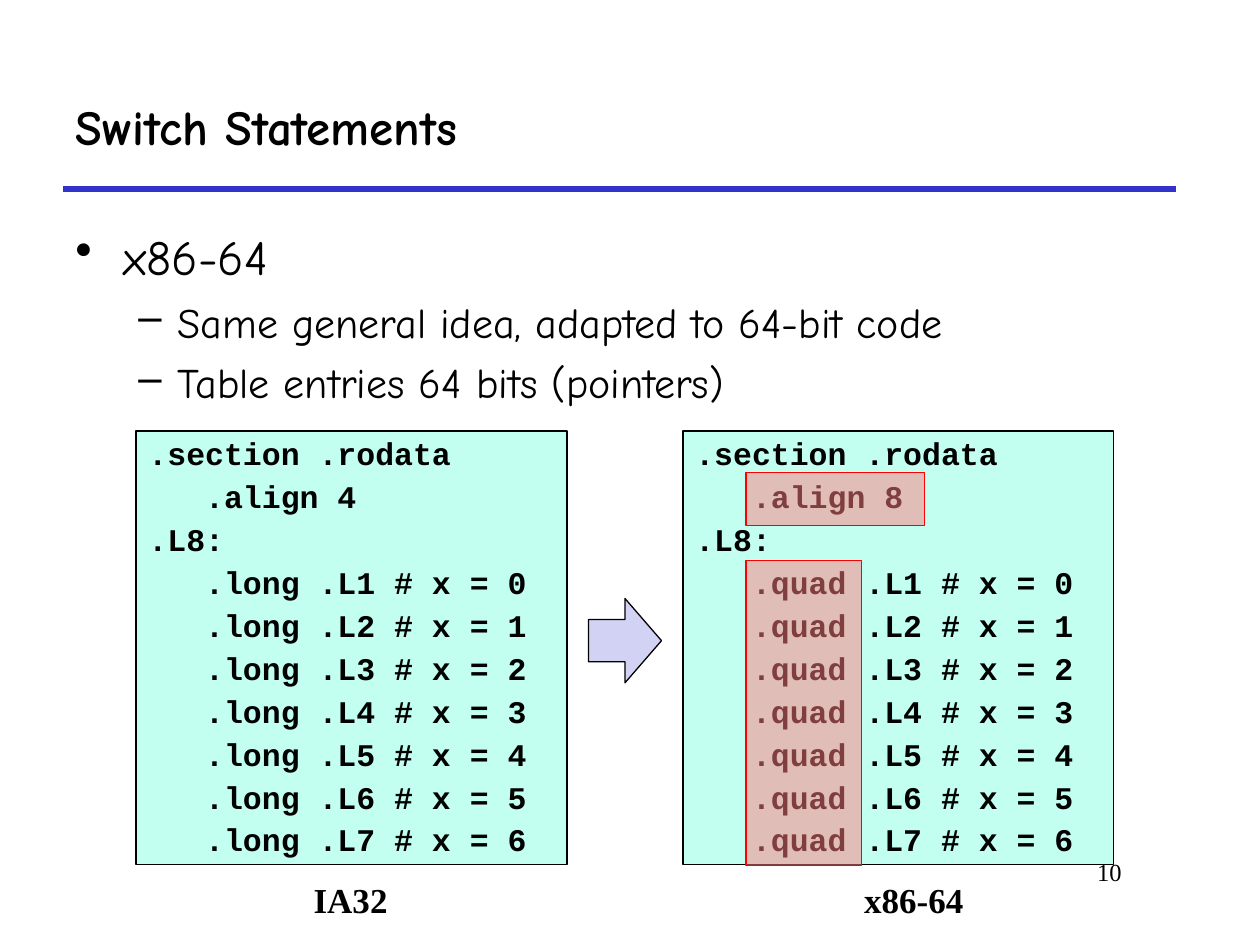
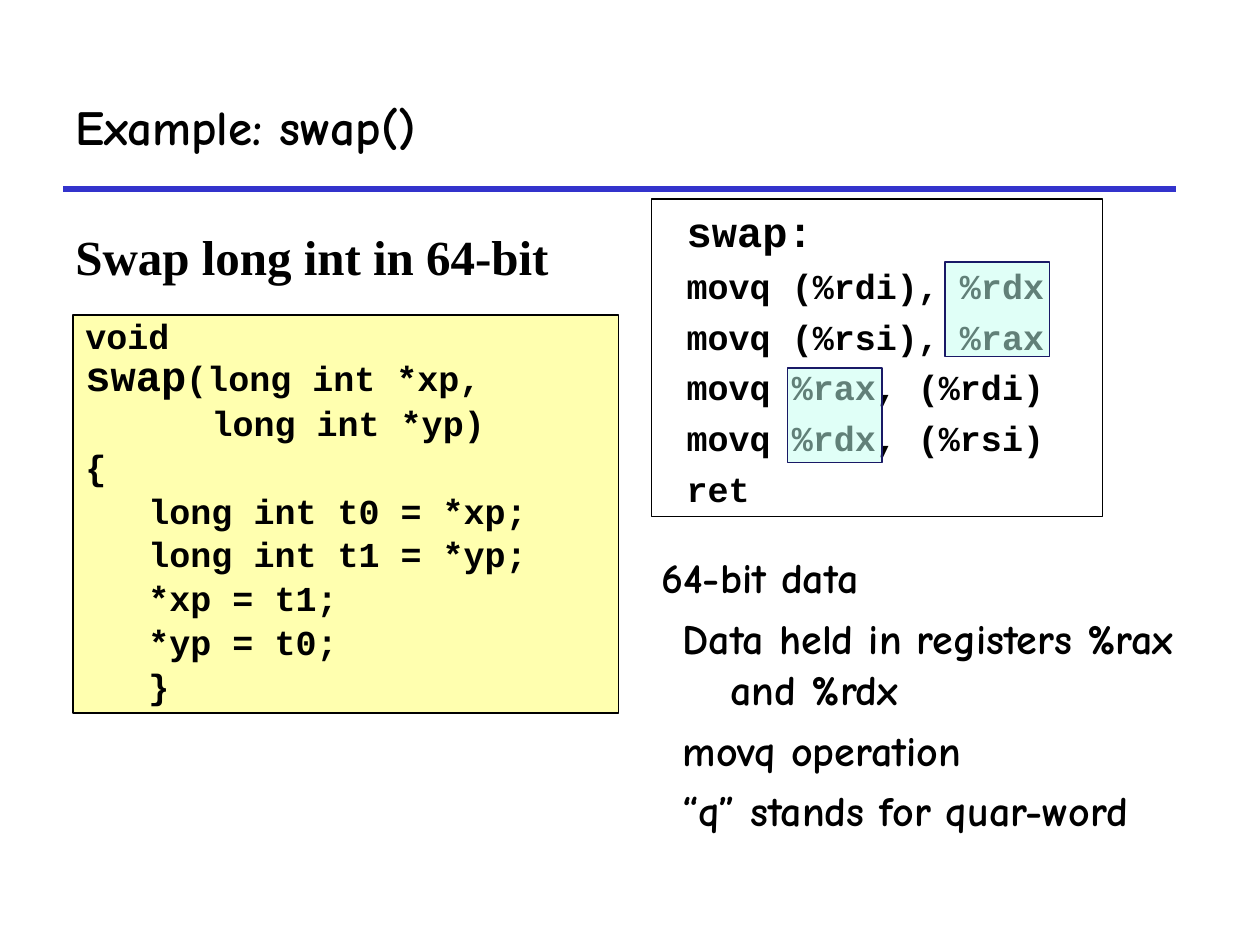
from dataclasses import dataclass
from pptx import Presentation
from pptx.dml.color import RGBColor
from pptx.enum.shapes import MSO_CONNECTOR, MSO_SHAPE
from pptx.enum.text import MSO_ANCHOR, PP_ALIGN
from pptx.oxml.xmlchemy import OxmlElement
from pptx.util import Inches, Pt

RECT = MSO_SHAPE.RECTANGLE
ARROW = MSO_SHAPE.RIGHT_ARROW
STRAIGHT = MSO_CONNECTOR.STRAIGHT
TOP, MIDDLE = MSO_ANCHOR.TOP, MSO_ANCHOR.MIDDLE
LEFT, RIGHT = PP_ALIGN.LEFT, PP_ALIGN.RIGHT

COMIC, MONO, SERIF = "Comic Neue", "Courier New", "Times New Roman"
COLORS = {
    "ink": "000000",
    "rule": "3333CC",
    "mint": "C2FFF0",
    "lilac": "D2D2F4",
    "yellow": "FFFFAF",
    "white": "FFFFFF",
    "rose": "FF7C80",
    "red": "FF0000",
    "navy": "191966",
}


@dataclass(frozen=True)
class Box:
    left: float
    top: float
    width: float
    height: float


@dataclass(frozen=True)
class Row:
    text: str
    size: float = 0
    left: float = 0
    hang: float = 0
    mark: str = ""
    lead: str = ""


@dataclass(frozen=True)
class Panel:
    box: Box
    fill: str
    rows: list[Row]
    size: float
    gap: float
    pitch: float = 0
    inset: float = 0.1


@dataclass(frozen=True)
class Glass:
    box: Box
    fill: str
    edge: str


LEAD_SIZE = 24


def color(name: str) -> RGBColor:
    return RGBColor.from_string(COLORS[name])


def place(box: Box) -> tuple:
    return tuple(Inches(n) for n in (box.left, box.top, box.width, box.height))


def write(frame, rows: list[Row], *, font: str = COMIC, size: float = 24, bold: bool = True,
          gap: float = 0, pitch: float = 0, inset: float = 0.1, align=LEFT,
          anchor=TOP, wrap: bool = True) -> None:
    frame.word_wrap = wrap
    frame.vertical_anchor = anchor
    frame.margin_left, frame.margin_right = Inches(inset), Inches(0.1)
    frame.margin_top = frame.margin_bottom = Inches(0.05)
    for i, row in enumerate(rows):
        para = frame.add_paragraph() if i else frame.paragraphs[0]
        props = para._p.get_or_add_pPr()
        props.set("marL", str(Inches(row.left)))
        props.set("indent", str(Inches(-row.hang)))
        if row.mark:
            mark = OxmlElement("a:buChar")
            mark.set("char", row.mark)
            props.append(mark)
        para.alignment = align
        if i:
            para.space_before = Pt(gap)
        if pitch:
            para.line_spacing = Pt(pitch)
        for words, points in ((row.lead, LEAD_SIZE), (row.text, row.size or size)):
            if words:
                run = para.add_run()
                run.text = words
                run.font.name, run.font.size, run.font.bold = font, Pt(points), bold
                run.font.color.rgb = color("ink")


def label(slide, box: Box, rows: list[Row], **style) -> None:
    write(slide.shapes.add_textbox(*place(box)).text_frame, rows, **style)


def block(slide, kind, box: Box, fill: str, edge: str = "ink"):
    shape = slide.shapes.add_shape(kind, *place(box))
    shape.shadow.inherit = False
    shape.fill.solid()
    shape.fill.fore_color.rgb = color(fill)
    shape.line.color.rgb = color(edge)
    shape.line.width = Pt(0.75)
    return shape


def panel(slide, item: Panel) -> None:
    shape = block(slide, RECT, item.box, item.fill)
    write(shape.text_frame, item.rows, font=MONO, size=item.size,
          gap=item.gap, pitch=item.pitch, inset=item.inset)


def glass(slide, item: Glass) -> None:
    shape = block(slide, RECT, item.box, item.fill, item.edge)
    alpha = OxmlElement("a:alpha")
    alpha.set("val", "50000")
    shape._element.spPr.solidFill.find(".//{*}srgbClr").append(alpha)


def start(deck, title: str):
    slide = deck.slides.add_slide(deck.slide_layouts[6])
    rule = slide.shapes.add_connector(STRAIGHT, Inches(0.5), Inches(1.5), Inches(9.33), Inches(1.5))
    rule.line.color.rgb = color("rule")
    rule.line.width = Pt(3)
    rule._element.spPr.append(OxmlElement("a:effectLst"))
    label(slide, Box(0.5, 0.5, 8.83, 1), [Row(title)], size=28, anchor=MIDDLE)
    return slide


def table(align: int, word: str) -> list[Row]:
    head = [".section .rodata", f"   .align {align}", ".L8:"]
    jumps = [f"   .{word} .L{n + 1} # x = {n}" for n in range(7)]
    return [Row(line) for line in head + jumps]


def switch(deck) -> None:
    slide = start(deck, "Switch Statements")
    label(slide, Box(7.58, 6.75, 1.42, 0.5), [Row("10")],
          font=SERIF, size=14, bold=False, align=RIGHT)
    label(slide, Box(0.5, 1.75, 9.5, 5.42), [
        Row("x86-64", 28, 0.38, 0.38, "•"),
        Row("Same general idea, adapted to 64-bit code", 24, 0.81, 0.31, "–"),
        Row("Table entries 64 bits (pointers)", 24, 0.81, 0.31, "–"),
    ], bold=False, gap=6)
    for left, rows in ((1.08, table(4, "long")), (5.42, table(8, "quad"))):
        panel(slide, Panel(Box(left, 3.42, 3.42, 3.44), "mint", rows, 18, 4.5, 20))
    block(slide, ARROW, Box(4.67, 4.75, 0.58, 0.67), "lilac")
    for name, left, width in (("x86-64", 6.76, 0.99), ("IA32", 2.39, 0.79)):
        label(slide, Box(left, 6.92, width, 0.44), [Row(name)], font=SERIF, size=20, wrap=False)
    for box in (Box(5.92, 4.45, 0.92, 2.42), Box(5.92, 3.75, 1.42, 0.42)):
        glass(slide, Glass(box, "rose", "red"))


def swap(deck) -> None:
    slide = start(deck, "Example: swap()")
    label(slide, Box(0.5, 1.75, 9.5, 1.08), [Row("Swap long int in 64-bit", 28, 0.38, 0.38)],
          font=SERIF)
    steps = ("long int t0 = *xp;", "long int t1 = *yp;", "*xp = t1;", "*yp = t0;", "}")
    source = [
        Row("void"),
        Row("(long int *xp,", lead="swap"),
        Row("      long int *yp)"),
        Row("{"),
        *(Row(step, left=0.5) for step in steps),
    ]
    moves = ("(%rdi), %rdx", "(%rsi), %rax", "%rax, (%rdi)", "%rdx, (%rsi)")
    output = [Row("swap:", LEAD_SIZE), *(Row(f"movq {move}") for move in moves), Row("ret")]
    panel(slide, Panel(Box(0.58, 2.5, 4.33, 3.16), "yellow", source, 20, 5, 20))
    panel(slide, Panel(Box(5.17, 1.58, 3.58, 2.52), "white", output, 20, 5, inset=0.28))
    facts = ("Data held in registers %rax and %rdx", "movq operation", "“q” stands for quar-word")
    label(slide, Box(4.92, 4.33, 5, 2.75),
          [Row("64-bit data", left=0.23), *(Row(fact, left=0.78, hang=0.38) for fact in facts)],
          gap=6)
    for box in (Box(7.5, 2.08, 0.83, 0.75), Box(6.25, 2.92, 0.75, 0.75)):
        glass(slide, Glass(box, "mint", "navy"))


def main() -> None:
    deck = Presentation()
    deck.slide_width, deck.slide_height = Inches(10), Inches(7.5)
    switch(deck)
    swap(deck)
    deck.save("out.pptx")


if __name__ == "__main__":
    main()
